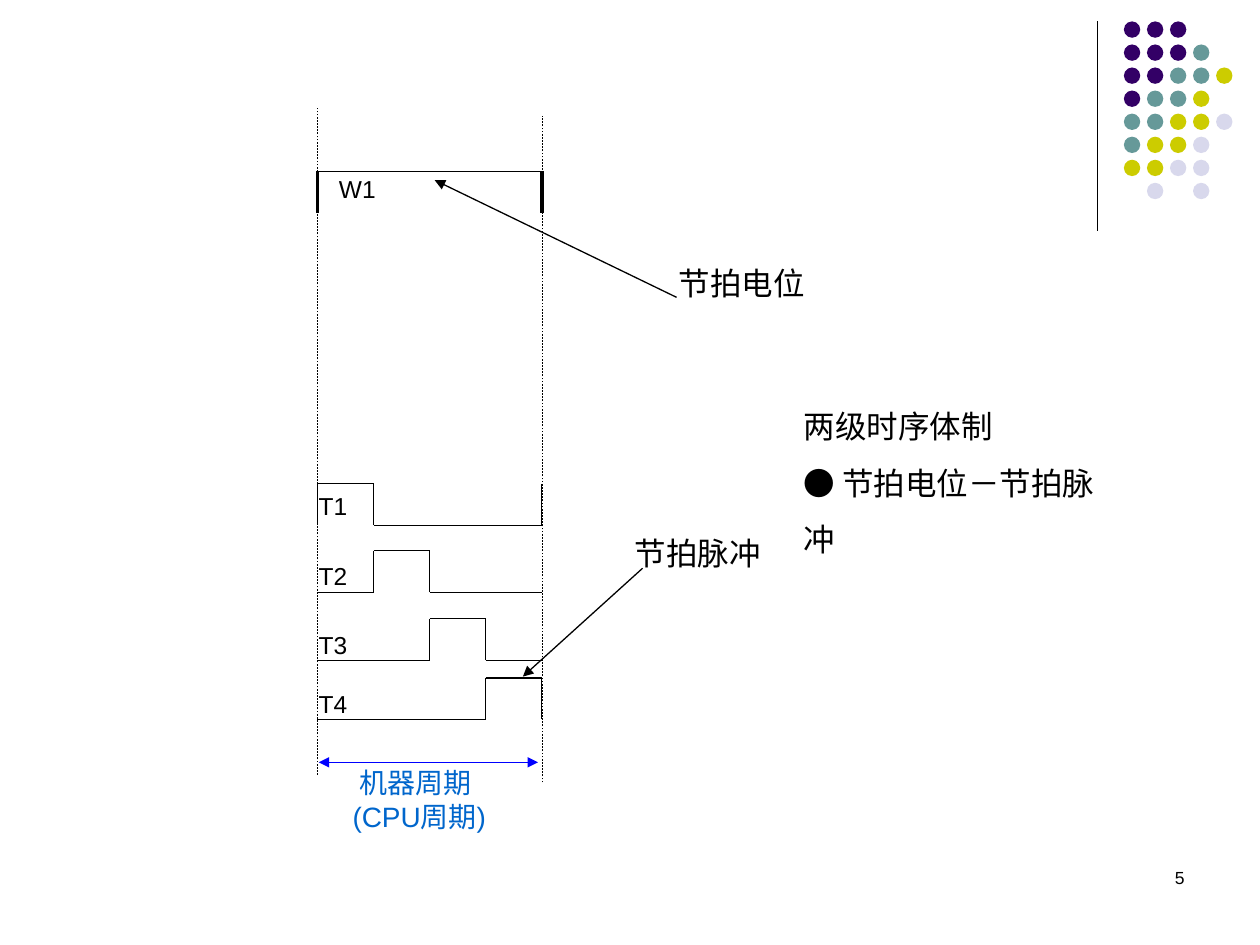
from lxml import etree
from pptx import Presentation
from pptx.dml.color import RGBColor
from pptx.enum import dml, shapes, text
from pptx.oxml.ns import qn
from pptx.util import Inches, Pt

BLACK = RGBColor(0x00, 0x00, 0x00)
BLUE = RGBColor(0x00, 0x00, 0xFF)
LABEL_BLUE = RGBColor(0x00, 0x66, 0xCC)
DOT_COLORS = {
    "P": RGBColor(0x33, 0x00, 0x66),
    "T": RGBColor(0x66, 0x99, 0x99),
    "Y": RGBColor(0xCC, 0xCC, 0x00),
    "L": RGBColor(0xD8, 0xD8, 0xEC),
}

# Content
DOT_ROWS = ["PPP", "PPPT", "PPTTY", "PTTY", "TTYYL", "TYYL", "YYLL", " L L"]
PULSES = [("T1", 3.84, 3.85), ("T2", 4.37, 4.40),
          ("T3", 4.91, 4.95), ("T4", 5.38, 5.42)]  # name, wave top, label top
# left, top, width, height, color, paragraphs of (text, size) runs, line spacing
CALLOUTS = [
    (2.7, 6, 1.36, 0.67, LABEL_BLUE,
     [[(" ", 18), ("机器周期", 16)], [("(CPU周期)", 16)]], None),
    (5.29, 2.05, 1.2, 0.4, BLACK, [[("节拍电位", 18)]], None),
    (4.94, 4.19, 1.2, 0.4, BLACK, [[("节拍脉冲", 18)]], None),
    (6.28, 3.03, 2.75, 1, BLACK,
     [[("两级时序体制", 18)], [("● 节拍电位－节拍脉冲", 18)]], 1.5),
]
POINTERS = [((5.37, 2.36), (3.45, 1.43)), ((5.1, 4.51), (4.15, 5.37))]

# Timing grid
CYCLE_START, CYCLE_END = 2.52, 4.3
BEAT = (CYCLE_END - CYCLE_START) / len(PULSES)
WAVE_HEIGHT = 0.33
LEVEL_TOP = 1.36
DOT_LEFT, DOT_TOP, DOT_SIZE, DOT_PITCH = 8.92, 0.17, 0.13, 0.183

prs = Presentation()
prs.slide_width, prs.slide_height = Inches(10), Inches(7.5)
slide = prs.slides.add_slide(prs.slide_layouts[6])


def add_line(start, end, width=0.75, color=BLACK, dashed=False, arrows=()):
    line = slide.shapes.add_connector(
        shapes.MSO_CONNECTOR.STRAIGHT, *[Inches(v) for v in (*start, *end)])
    line.line.width = Pt(width)
    line.line.color.rgb = color
    if dashed:
        line.line.dash_style = dml.MSO_LINE.DASH
    for arrow in arrows:
        etree.SubElement(line.line._get_or_add_ln(), qn("a:" + arrow), type="triangle")
    etree.SubElement(line._element.spPr, qn("a:effectLst"))


def add_text(left, top, width, height, paragraphs, color=BLACK, wrap=True,
             side_inset=0.1, spacing=None, align=None):
    box = slide.shapes.add_textbox(*[Inches(v) for v in (left, top, width, height)])
    frame = box.text_frame
    frame.word_wrap = wrap
    frame.margin_left = frame.margin_right = Inches(side_inset)
    frame.margin_top = frame.margin_bottom = Inches(0.05)
    for i, runs in enumerate(paragraphs):
        para = frame.add_paragraph() if i else frame.paragraphs[0]
        para.alignment = align
        para.line_spacing = spacing
        for words, size in runs:
            run = para.add_run()
            run.text = words
            run.font.size = Pt(size)
            run.font.name = "Arial"
            run.font.color.rgb = color


# Corner decoration: rule and dot grid
add_line((8.71, 0.17), (8.71, 1.83))
for row, codes in enumerate(DOT_ROWS):
    for col, code in enumerate(codes):
        if code in DOT_COLORS:
            dot = slide.shapes.add_shape(
                shapes.MSO_SHAPE.OVAL,
                Inches(DOT_LEFT + col * DOT_PITCH), Inches(DOT_TOP + row * DOT_PITCH),
                Inches(DOT_SIZE), Inches(DOT_SIZE))
            dot.shadow.inherit = False
            dot.fill.solid()
            dot.fill.fore_color.rgb = DOT_COLORS[code]
            dot.line.fill.background()

# Cycle boundaries and the W1 level
add_line((CYCLE_START, 6.15), (CYCLE_START, 0.86), 0.25, dashed=True)
add_line((CYCLE_END, 6.21), (CYCLE_END, 0.92), 0.25, dashed=True)
add_line((CYCLE_START, LEVEL_TOP), (CYCLE_END, LEVEL_TOP))
for x in (CYCLE_START, CYCLE_END):
    add_line((x, LEVEL_TOP), (x, LEVEL_TOP + WAVE_HEIGHT), 2)
add_text(2.69, 1.33, 0.35, 0.34, [[("W1", 14)]], side_inset=0)

# Pulse waves: each is high for one beat of the cycle
for beat, (name, high, label_top) in enumerate(PULSES):
    low = high + WAVE_HEIGHT
    rise = CYCLE_START + beat * BEAT
    fall = rise + BEAT
    if beat > 0:
        add_line((CYCLE_START, low), (rise, low))
    add_line((rise, low), (rise, high))
    add_line((rise, high), (fall, high))
    add_line((fall, high), (fall, low))
    if beat < len(PULSES) - 1:
        add_line((fall, low), (CYCLE_END, low))
    add_text(2.53, label_top, 0.24, 0.34, [[(name, 14)]], side_inset=0)

# T1 rises again as the next cycle begins
next_rise = PULSES[0][1]
add_line((CYCLE_END, next_rise), (CYCLE_END, next_rise + WAVE_HEIGHT))

# Cycle span, callouts and pointers
add_line((2.53, 6.05), (4.27, 6.05), color=BLUE, arrows=("headEnd", "tailEnd"))
for left, top, width, height, color, paragraphs, spacing in CALLOUTS:
    add_text(left, top, width, height, paragraphs, color, wrap=False, spacing=spacing)
for start, end in POINTERS:
    add_line(start, end, arrows=("tailEnd",))

# Page number
add_text(7.17, 6.83, 2.33, 0.5, [[("5", 10)]], align=text.PP_ALIGN.RIGHT)

prs.save("out.pptx")
